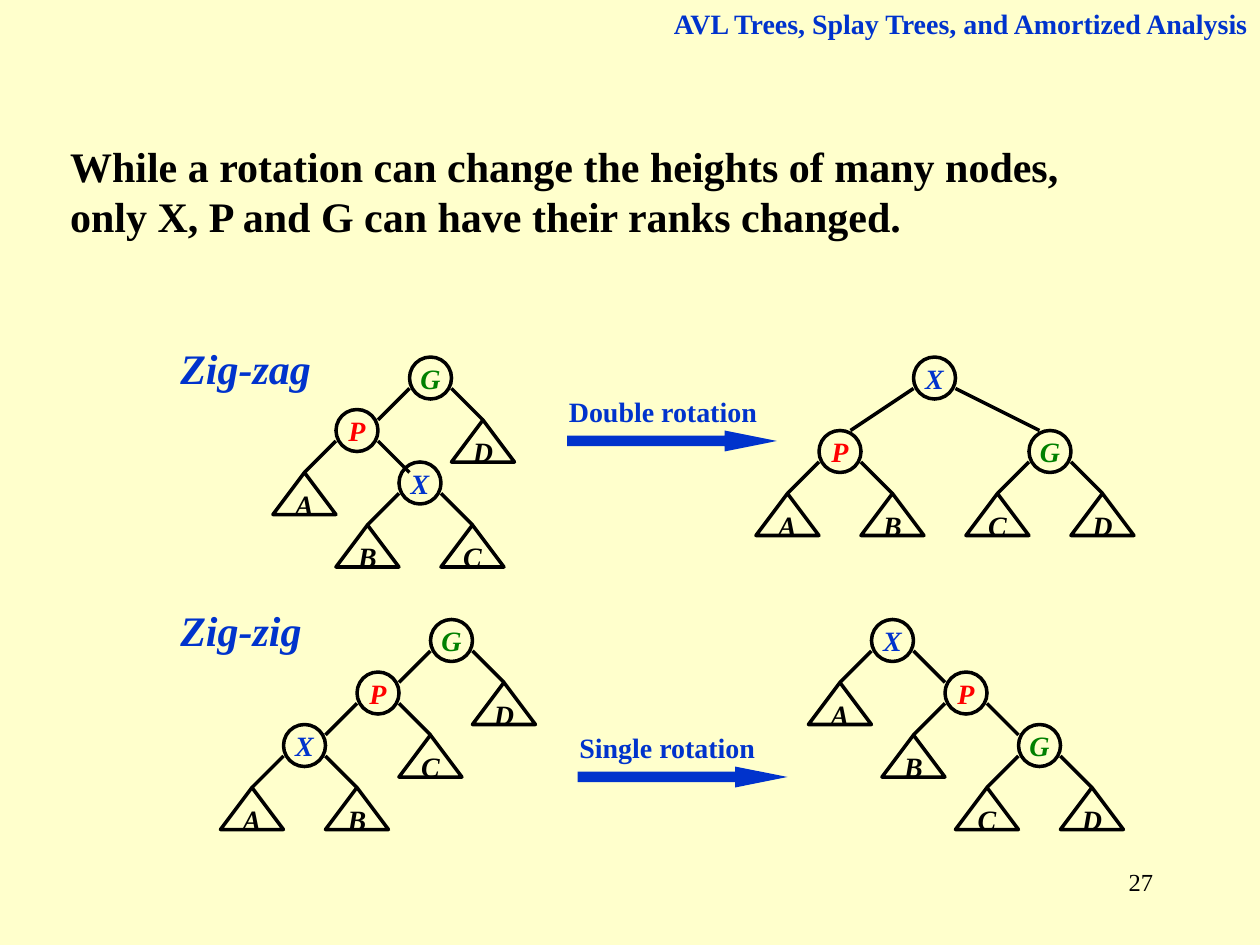
from lxml import etree
from pptx import Presentation
from pptx.dml.color import RGBColor
from pptx.enum.shapes import MSO_CONNECTOR, MSO_SHAPE
from pptx.enum.text import MSO_ANCHOR, PP_ALIGN
from pptx.oxml.ns import qn
from pptx.util import Pt

CREAM = RGBColor(0xFF, 0xFF, 0xCC)
BLACK = RGBColor(0, 0, 0)
BLUE = RGBColor(0, 0x33, 0xCC)
GREEN = RGBColor(0, 0x80, 0)
RED = RGBColor(0xFF, 0, 0)

CIRCLE, TRIANGLE, ARROW = MSO_SHAPE.OVAL, MSO_SHAPE.ISOSCELES_TRIANGLE, MSO_SHAPE.RIGHT_ARROW
STRAIGHT = MSO_CONNECTOR.STRAIGHT
LEFT, CENTER, RIGHT = PP_ALIGN.LEFT, PP_ALIGN.CENTER, PP_ALIGN.RIGHT
MIDDLE = MSO_ANCHOR.MIDDLE

NODE = 24
LEAF_WIDTH, LEAF_HEIGHT = 36, 24
EDGE_DROP = 18
NODE_COLORS = {"G": GREEN, "P": RED, "X": BLUE}

# Node: label, left, top, left leaf, right leaf, then optional edge reaches (dx, dy).
# A leaf of None means that the edge leads to another node.
TREES = {
    "zig-zag before": [
        ("G", 234, 204, None, "D"),
        ("P", 192, 234, "A", None),
        ("X", 228, 264, "B", "C"),
    ],
    "zig-zag after": [
        ("X", 522, 204, None, None, (-36, 24), (48, 24)),
        ("G", 588, 246, "C", "D"),
        ("P", 468, 246, "A", "B"),
    ],
    "zig-zig before": [
        ("G", 246, 354, None, "D"),
        ("P", 204, 384, None, "C"),
        ("X", 162, 414, "A", "B"),
    ],
    "zig-zig after": [
        ("X", 498, 354, "A", None),
        ("P", 540, 384, "B", None),
        ("G", 582, 414, "C", "D"),
    ],
}


def write(frame, text, size=16, color=BLACK, bold=True, italic=False, align=LEFT, wrap=True):
    frame.word_wrap = wrap
    frame.text = text
    for para in frame.paragraphs:
        para.alignment = align
        font = para.font
        font.name, font.size, font.color.rgb = "Times New Roman", Pt(size), color
        font.bold, font.italic = bold, italic


class TreeSlide:
    def __init__(self, deck):
        self.page = deck.slides.add_slide(deck.slide_layouts[6])
        self.page.background.fill.solid()
        self.page.background.fill.fore_color.rgb = CREAM
        self.shapes = self.page.shapes

    def start_group(self):
        """Send the next elements to a new group."""
        self.shapes = self.page.shapes.add_group_shape().shapes

    def end_group(self):
        self.shapes = self.page.shapes

    def text(self, text, left, top, width, height, **style):
        box = self.shapes.add_textbox(Pt(left), Pt(top), Pt(width), Pt(height))
        write(box.text_frame, text, **style)

    def outline(self, kind, label, left, top, width, height, color=BLACK):
        shape = self.shapes.add_shape(kind, Pt(left), Pt(top), Pt(width), Pt(height))
        shape.shadow.inherit = False
        shape.fill.background()
        shape.line.color.rgb, shape.line.width = BLACK, Pt(2)
        shape.text_frame.vertical_anchor = MIDDLE
        write(shape.text_frame, label, color=color, italic=True, align=CENTER, wrap=False)

    def edge(self, x1, y1, x2, y2):
        line = self.shapes.add_connector(STRAIGHT, Pt(x1), Pt(y1), Pt(x2), Pt(y2))
        line.line.color.rgb, line.line.width = BLACK, Pt(2)
        etree.SubElement(line._element.spPr, qn("a:effectLst"))

    def node(self, label, left, top, left_leaf, right_leaf,
             left_reach=(-18, 18), right_reach=(18, 18)):
        """Draw a circle with its two edges and the leaves that hang on them."""
        self.outline(CIRCLE, label, left, top, NODE, NODE, NODE_COLORS[label])
        start_y = top + EDGE_DROP
        for start_x, (dx, dy), leaf in ((left, left_reach, left_leaf),
                                        (left + NODE, right_reach, right_leaf)):
            end_x, end_y = start_x + dx, start_y + dy
            self.edge(start_x, start_y, end_x, end_y)
            if leaf:
                self.outline(TRIANGLE, leaf, end_x - LEAF_WIDTH / 2, end_y,
                             LEAF_WIDTH, LEAF_HEIGHT)

    def tree(self, nodes):
        self.start_group()
        for node in nodes:
            self.node(*node)
        self.end_group()

    def rotation(self, caption, left, top):
        """Draw a captioned arrow between two trees."""
        self.start_group()
        arrow = self.shapes.add_shape(ARROW, Pt(left + 6), Pt(top + 24), Pt(120), Pt(12))
        arrow.adjustments[0], arrow.adjustments[1] = 0.5, 2.5
        arrow.shadow.inherit = False
        arrow.fill.solid()
        arrow.fill.fore_color.rgb = BLUE
        arrow.line.fill.background()
        self.text(caption, left, top, 126, 26.4, color=BLUE)
        self.end_group()


def main():
    deck = Presentation()
    deck.slide_width, deck.slide_height = Pt(720), Pt(540)
    slide = TreeSlide(deck)

    slide.text("27", 516, 492, 150, 36, size=14, bold=False, align=RIGHT)
    for title, top in (("Zig-zag", 192), ("Zig-zig", 342)):
        slide.text(title, 96, top, 102, 36, size=24, color=BLUE, italic=True)
    for nodes in TREES.values():
        slide.tree(nodes)
    slide.rotation("Double rotation", 318, 222)
    slide.rotation("Single rotation", 324, 414)

    slide.text("AVL Trees, Splay Trees, and Amortized Analysis", 354, 0, 366, 26.4,
               color=BLUE, align=RIGHT)
    slide.text("While a rotation can change the heights of many nodes,\n"
               "only X, P and G can have their ranks changed.",
               33, 76.5, 585, 65, size=24, wrap=False)
    deck.save("out.pptx")


if __name__ == "__main__":
    main()
